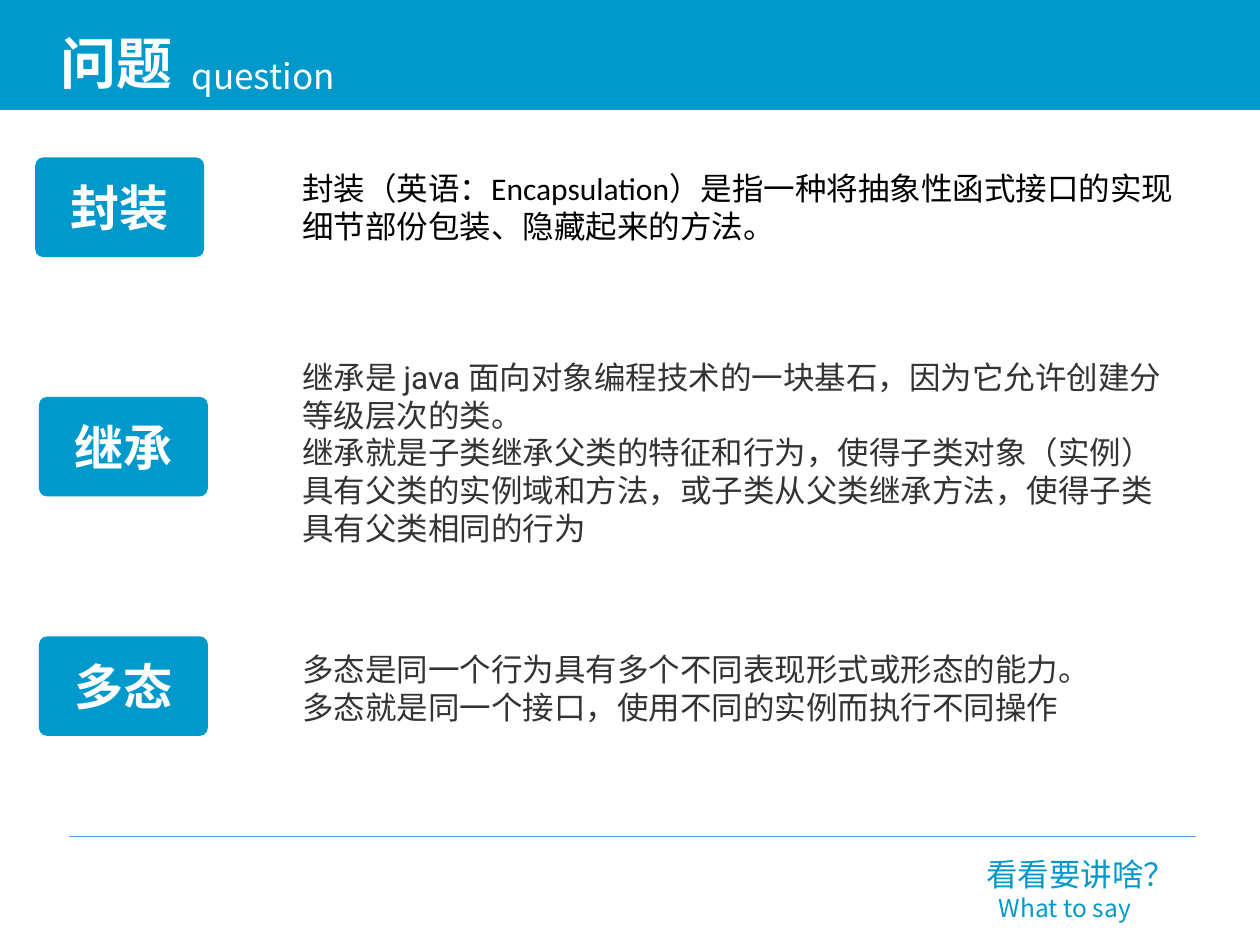
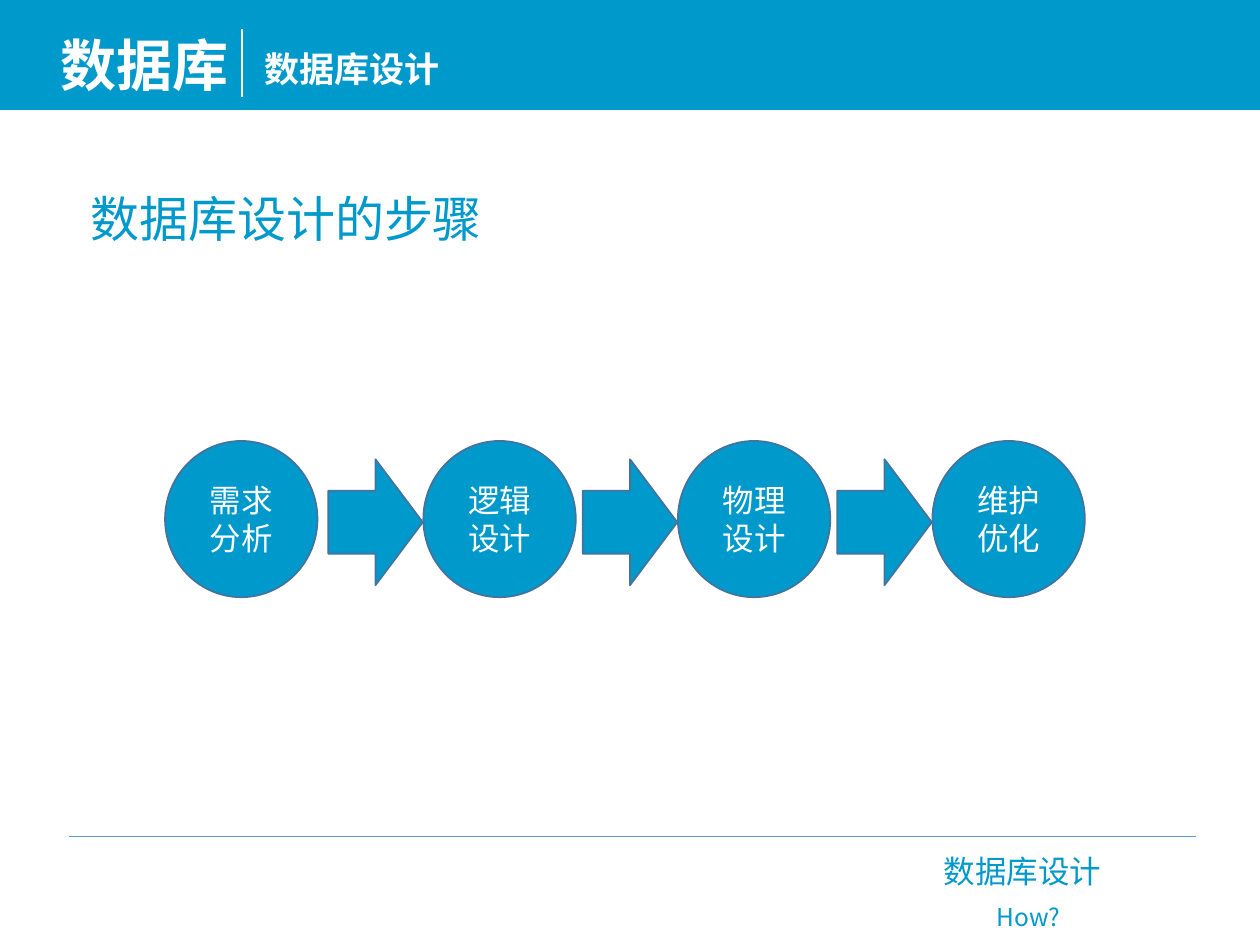
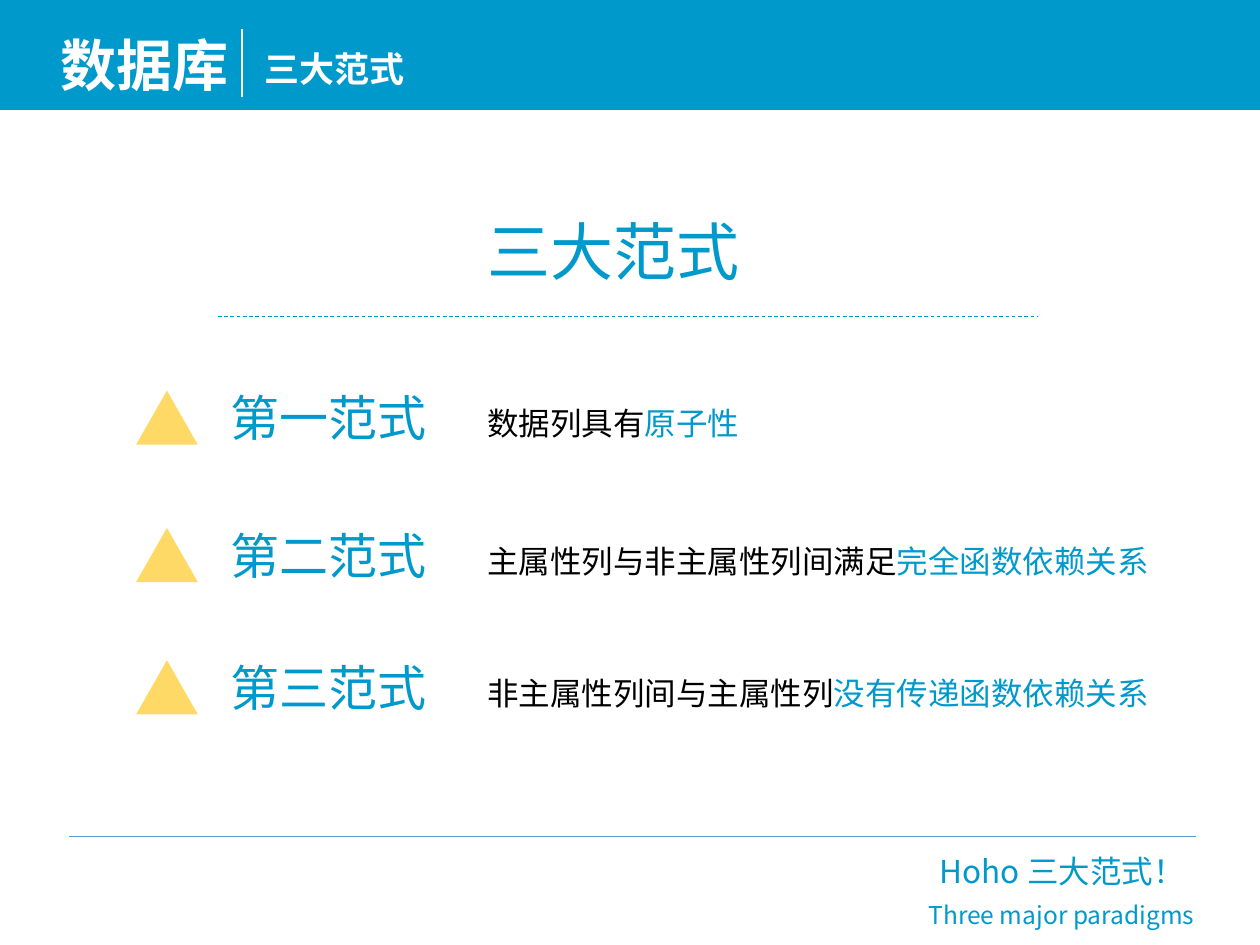
from dataclasses import dataclass
from typing import NamedTuple

from lxml import etree
from pptx import Presentation
from pptx.dml.color import RGBColor
from pptx.enum.dml import MSO_LINE
from pptx.enum.shapes import MSO_CONNECTOR, MSO_SHAPE
from pptx.enum.text import MSO_ANCHOR, MSO_AUTO_SIZE, PP_ALIGN
from pptx.oxml.ns import qn
from pptx.util import Inches, Pt

ROUND = MSO_SHAPE.ROUNDED_RECTANGLE
OVAL = MSO_SHAPE.OVAL
ARROW = MSO_SHAPE.DOWN_ARROW
PEAK = MSO_SHAPE.ISOSCELES_TRIANGLE
STRAIGHT = MSO_CONNECTOR.STRAIGHT
DASH = MSO_LINE.DASH
LEFT, CENTER = PP_ALIGN.LEFT, PP_ALIGN.CENTER
TOP, MIDDLE = MSO_ANCHOR.TOP, MSO_ANCHOR.MIDDLE
GROW = MSO_AUTO_SIZE.SHAPE_TO_FIT_TEXT


@dataclass(frozen=True)
class Theme:
    blue: str = "0099CC"
    white: str = "FFFFFF"
    black: str = "000000"
    gray: str = "333333"
    gold: str = "FFD966"
    edge: str = "43739E"
    rule: str = "5B9BD5"
    font: str = "Noto Sans CJK SC"
    latin: str = "Calibri"
    web: str = "Roboto"
    hero: int = 36
    title: int = 32
    head: int = 28
    sub: int = 20
    body: int = 18
    small: int = 14


T = Theme()


class Box(NamedTuple):
    left: float
    top: float
    width: float
    height: float


class Part(NamedTuple):
    text: str
    color: str


class Note(NamedTuple):
    text: str
    box: Box


class Term(NamedTuple):
    name: str
    left: float
    top: float
    lines: tuple
    box: Box
    font: str
    color: str


class Form(NamedTuple):
    name: str
    top: float
    lead: str
    key: str
    width: float


TERMS = (
    Term("封装", 0.28, 1.25,
         ("封装（英语：Encapsulation）是指一种将抽象性函式接口的实现细节部份包装、隐藏起来的方法。",),
         Box(2.3, 1.29, 7.14, 0.71), T.latin, T.black),
    Term("继承", 0.31, 3.15,
         ("继承是 java 面向对象编程技术的一块基石，因为它允许创建分等级层次的类。",
          "继承就是子类继承父类的特征和行为，使得子类对象（实例）具有父类的实例域和方法，"
          "或子类从父类继承方法，使得子类具有父类相同的行为"),
         Box(2.3, 2.79, 7.14, 1.62), T.web, T.gray),
    Term("多态", 0.31, 5.05,
         ("多态是同一个行为具有多个不同表现形式或形态的能力。",
          "多态就是同一个接口，使用不同的实例而执行不同操作"),
         Box(2.3, 5.11, 7.14, 0.71), T.web, T.gray),
)

STEPS = (("需求分析", 1.31), ("逻辑设计", 3.36), ("物理设计", 5.38), ("维护优化", 7.4))

FORMS = (
    Form("第一范式", 3.03, "数据列具有", "原子性", 2.71),
    Form("第二范式", 4.12, "主属性列与非主属性列间满足", "完全函数依赖关系", 5.51),
    Form("第三范式", 5.17, "非主属性列间与主属性列", "没有传递函数依赖关系", 5.51),
)


def rgb(color: str) -> RGBColor:
    return RGBColor.from_string(color)


def place(box: Box) -> list:
    return [Inches(n) for n in box]


def write(shape, *lines, size: int, color: str = T.blue, font: str = T.font,
          bold: bool = False, align=LEFT, anchor=TOP, wrap: bool = True) -> None:
    frame = shape.text_frame
    frame.word_wrap = wrap
    frame.vertical_anchor = anchor
    for i, line in enumerate(lines):
        para = frame.add_paragraph() if i else frame.paragraphs[0]
        para.alignment = align
        parts = (Part(line, color),) if isinstance(line, str) else line
        for part in parts:
            run = para.add_run()
            run.text = part.text
            run.font.size = Pt(size)
            run.font.bold = bold
            run.font.name = font
            run.font.color.rgb = rgb(part.color)
            east = etree.SubElement(run.font._element, qn("a:ea"))
            east.set("typeface", T.font)


def label(slide, box: Box, *lines, **style) -> None:
    shape = slide.shapes.add_textbox(*place(box))
    write(shape, *lines, **style)
    shape.text_frame.auto_size = GROW


def solid(slide, kind, box: Box, fill: str = T.blue, edge: str = ""):
    shape = slide.shapes.add_shape(kind, *place(box))
    shape.shadow.inherit = False
    shape.fill.solid()
    shape.fill.fore_color.rgb = rgb(fill)
    if edge:
        shape.line.color.rgb = rgb(edge)
        shape.line.width = Pt(1)
    else:
        shape.line.fill.background()
    return shape


def rule(slide, x: float, y: float, end: float, foot: float,
         color: str, width: float, dash=None) -> None:
    line = slide.shapes.add_connector(
        STRAIGHT, Inches(x), Inches(y), Inches(end), Inches(foot))
    line.line.color.rgb = rgb(color)
    line.line.width = Pt(width)
    if dash:
        line.line.dash_style = dash
    etree.SubElement(line._element.spPr, qn("a:effectLst"))


def start(deck, title: Note, sub: Note, foot: Note, tag: Note, split: bool = True):
    slide = deck.slides.add_slide(deck.slide_layouts[6])
    band = solid(slide, ROUND, Box(0, 0.01, 10, 0.86), edge=T.blue)
    band.adjustments[0] = 0
    label(slide, title.box, title.text, size=T.title, color=T.white, bold=True)
    label(slide, sub.box, sub.text, size=T.sub, color=T.white, bold=split)
    if split:
        rule(slide, 1.92, 0.23, 1.92, 0.77, T.white, 1)
    rule(slide, 0.55, 6.64, 9.49, 6.64, T.rule, 0.5)
    label(slide, foot.box, foot.text, size=T.body, wrap=False)
    label(slide, tag.box, tag.text, size=T.small, wrap=False)
    return slide


def data(deck, topic: str, foot: Note, tag: Note):
    return start(deck, Note("数据库", Box(0.38, 0.19, 1.63, 0.64)),
                 Note(topic, Box(2, 0.33, 2.23, 0.44)), foot, tag)


def terms(deck) -> None:
    slide = start(deck,
                  Note("问题", Box(0.38, 0.18, 1.24, 0.64)),
                  Note("question", Box(1.42, 0.38, 2.31, 0.44)),
                  Note("看看要讲啥？", Box(7.73, 6.74, 1.72, 0.4)),
                  Note("What to say", Box(7.83, 7.04, 1.32, 0.34)),
                  split=False)
    for term in TERMS:
        card = solid(slide, ROUND, Box(term.left, term.top, 1.34, 0.79))
        card.adjustments[0] = 0.08
        write(card, term.name, size=T.head, color=T.white, bold=True,
              align=CENTER, anchor=MIDDLE, wrap=False)
        label(slide, term.box, *term.lines, size=T.body,
              color=term.color, font=term.font)


def steps(deck) -> None:
    slide = data(deck, "数据库设计",
                 Note("数据库设计", Box(7.39, 6.71, 1.46, 0.4)),
                 Note("How?", Box(7.81, 7.11, 0.79, 0.34)))
    label(slide, Box(0.62, 1.45, 3.34, 0.57), "数据库设计的步骤",
          size=T.head, wrap=False)
    for name, left in STEPS:
        disc = solid(slide, OVAL, Box(left, 3.5, 1.21, 1.24), edge=T.edge)
        write(disc, name, size=T.body, color=T.white, align=CENTER, anchor=MIDDLE)
    for i in range(len(STEPS) - 1):
        arrow = solid(slide, ARROW, Box(2.48 + 2.02 * i, 3.77, 1, 0.75), edge=T.edge)
        arrow.rotation = 270


def forms(deck) -> None:
    slide = data(deck, "三大范式",
                 Note("Hoho 三大范式！", Box(7.36, 6.71, 2.21, 0.4)),
                 Note("Three major paradigms", Box(7.27, 7.09, 2.39, 0.34)))
    label(slide, Box(3.77, 1.64, 2.22, 0.71), "三大范式", size=T.hero, wrap=False)
    rule(slide, 1.73, 2.51, 8.23, 2.51, T.blue, 0.5, DASH)
    for form in FORMS:
        label(slide, Box(1.73, form.top, 1.77, 0.57), form.name,
              size=T.head, wrap=False)
        solid(slide, PEAK, Box(1.08, form.top + 0.07, 0.49, 0.43), T.gold)
        label(slide, Box(3.77, form.top + 0.13, form.width, 0.4),
              (Part(form.lead, T.black), Part(form.key, T.blue)), size=T.body)


def main() -> None:
    deck = Presentation()
    deck.slide_width, deck.slide_height = Inches(10), Inches(7.5)
    for build in (terms, steps, forms):
        build(deck)
    deck.save("out.pptx")


if __name__ == "__main__":
    main()
